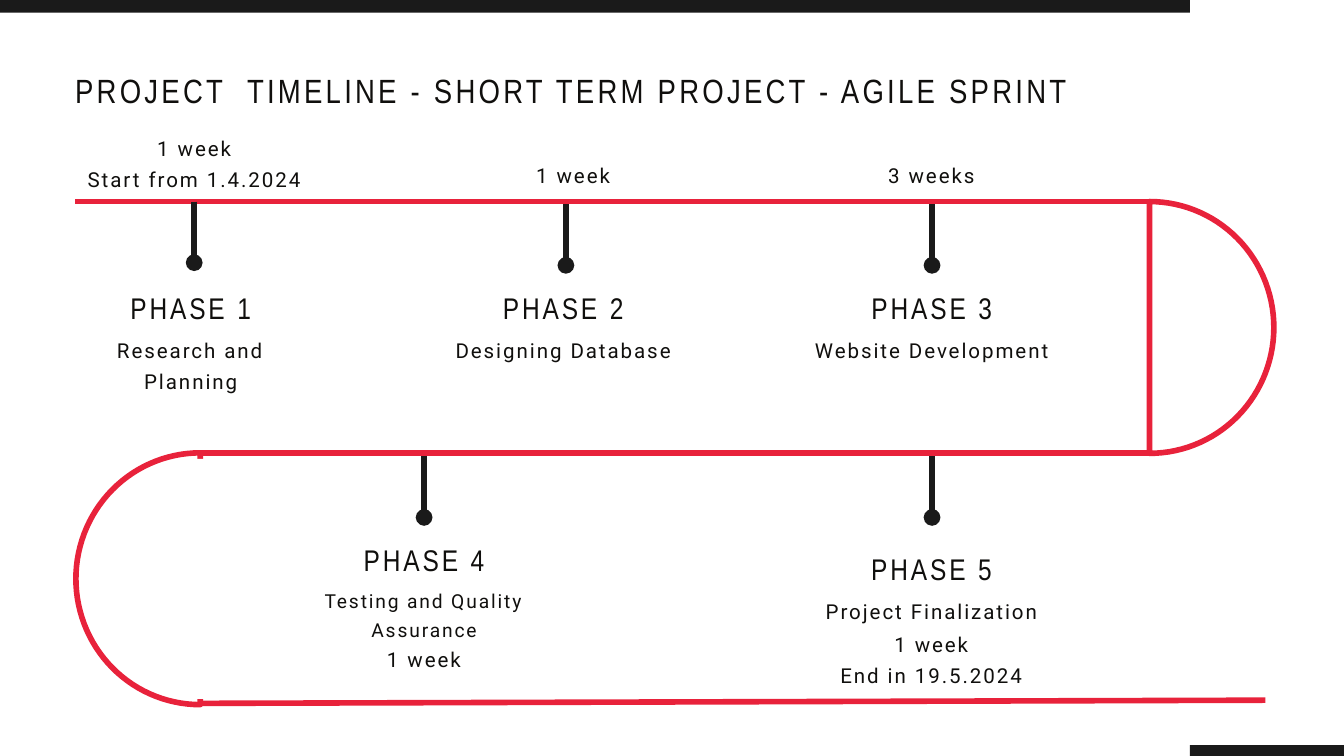
import math

from lxml import etree
from pptx import Presentation
from pptx import util as u
from pptx.dml.color import RGBColor
from pptx.enum import shapes, text
from pptx.oxml.ns import qn

RED, BLACK, INK, WHITE = "E8223B", "1A1A1A", "100F0D", "FFFFFF"
HEADING, BODY = "Arial Narrow", "Roboto"
LINE_WIDTH = u.Pt(6)
STEM_LENGTH = 2.31
TURN_WIDTH, TURN_HEIGHT = 4.7, 9.52
ROW_1, ROW_2 = 7.62, 17.12
LEFT_TURN, RIGHT_TURN = 7.57, 43.45


def color(value):
    return RGBColor.from_string(value)


def place(shape, left, top, width, height):
    shape.left, shape.top = u.Cm(left), u.Cm(top)
    shape.width, shape.height = u.Cm(width), u.Cm(height)


def write(shape, lines, font, size, spacing, leading, align=text.PP_ALIGN.CENTER):
    frame = shape.text_frame
    frame.margin_left = frame.margin_right = frame.margin_top = frame.margin_bottom = 0
    frame.word_wrap = True
    frame.auto_size = text.MSO_AUTO_SIZE.NONE
    frame.vertical_anchor = text.MSO_ANCHOR.TOP
    frame.text = "\n".join(lines)
    for paragraph in frame.paragraphs:
        paragraph.alignment = align
        paragraph.line_spacing = u.Pt(leading)
        paragraph.space_before = u.Pt(0)
        paragraph.font.name = font
        paragraph.font.size = u.Pt(size)
        paragraph.font.color.rgb = color(INK)
        for run in paragraph.runs:
            run._r.get_or_add_rPr().set("spc", str(round(spacing * 100)))


def add_title(slide, words):
    title = slide.shapes.title
    place(title, 2.84, 2.51, 38.18, 1.63)
    write(title, [words], HEADING, 36, 3.5, 46.8, text.PP_ALIGN.LEFT)


def add_body(slide, box, lines, size=22):
    shape = slide.shapes.add_textbox(*map(u.Cm, box))
    write(shape, lines, BODY, size, size * 0.096, size * 1.5)


def add_phase(slide, left, top, width, number, task, height, size=22):
    heading = slide.shapes.add_textbox(*map(u.Cm, (left, top, width, 1.4)))
    write(heading, [f"PHASE {number}"], HEADING, 32, 3.1, 41.6)
    add_body(slide, (left, top + 1.7, width, height), [task], size)


def add_bar(slide, box, fill):
    bar = slide.shapes.add_shape(shapes.MSO_SHAPE.RECTANGLE, *map(u.Cm, box))
    bar.shadow.inherit = False
    bar.fill.solid()
    bar.fill.fore_color.rgb = color(fill)
    bar.line.fill.background()


def add_line(slide, start, end, stroke, oval_end=False):
    line = slide.shapes.add_connector(
        shapes.MSO_CONNECTOR.STRAIGHT, *map(u.Cm, (*start, *end)))
    line.line.color.rgb = color(stroke)
    line.line.width = LINE_WIDTH
    if oval_end:
        etree.SubElement(line.line._get_or_add_ln(), qn("a:tailEnd"), type="oval")
    etree.SubElement(line._element.spPr, qn("a:effectLst"))


def add_turn(slide, flat_x, top, direction):
    radius = TURN_HEIGHT / 2
    points = []
    for degrees in range(-90, 91, 3):
        angle = math.radians(degrees)
        x = flat_x + direction * TURN_WIDTH * math.cos(angle)
        y = top + radius + radius * math.sin(angle)
        points.append((u.Cm(x), u.Cm(y)))
    builder = slide.shapes.build_freeform(*points[0])
    builder.add_line_segments(points[1:], close=True)
    turn = builder.convert_to_shape()
    turn.shadow.inherit = False
    turn.fill.background()
    turn.line.color.rgb = color(RED)
    turn.line.width = LINE_WIDTH


def main():
    presentation = Presentation()
    presentation.slide_width, presentation.slide_height = u.Cm(50.8), u.Cm(28.58)
    slide = presentation.slides.add_slide(presentation.slide_layouts[5])
    add_title(slide, "PROJECT  TIMELINE - SHORT TERM PROJECT - AGILE SPRINT")

    add_turn(slide, RIGHT_TURN, ROW_1, 1)
    add_bar(slide, (35.92, 7.85, 7.37, 9.12), WHITE)
    add_line(slide, (2.84, ROW_1), (RIGHT_TURN, ROW_1), RED)
    add_turn(slide, LEFT_TURN, ROW_2, -1)
    add_bar(slide, (7.34, 17.35, 3.17, 9.07), WHITE)
    add_line(slide, (LEFT_TURN, 26.59), (47.83, 26.47), RED)
    add_bar(slide, (44.98, 28.17, 6.35, 0.46), BLACK)
    add_bar(slide, (0, 0, 44.98, 0.48), BLACK)
    add_line(slide, (LEFT_TURN, ROW_2), (RIGHT_TURN, ROW_2), RED)

    for x, y in ((7.34, ROW_1), (21.39, 7.72), (35.23, 7.72), (16.03, 17.25), (35.23, 17.25)):
        add_line(slide, (x, y), (x, y + STEM_LENGTH), BLACK, oval_end=True)

    add_phase(slide, 2.84, 10.85, 8.74, 1, "Research and Planning", 2.18)
    add_phase(slide, 16.92, 10.85, 8.74, 2, "Designing Database", 1.04)
    add_phase(slide, 30.66, 10.85, 9.12, 3, "Website Development", 2.18)
    add_phase(slide, 11.66, 20.35, 8.74, 4, "Testing and Quality Assurance", 2.08, 20.6)
    add_phase(slide, 30.84, 20.7, 8.74, 5, "Project Finalization", 1.04)

    add_body(slide, (2.97, 4.9, 8.74, 2.24), ["1 week", "Start from 1.4.2024"])
    add_body(slide, (19.86, 5.92, 3.61, 1.09), ["1 week"])
    add_body(slide, (33.4, 5.92, 3.61, 1.09), ["3 weeks"])
    add_body(slide, (14.22, 24.23, 3.61, 1.09), ["1 week"])
    add_body(slide, (31.67, 23.67, 7.06, 2.24), ["1 week", "End in 19.5.2024"])

    presentation.save("out.pptx")


if __name__ == "__main__":
    main()
